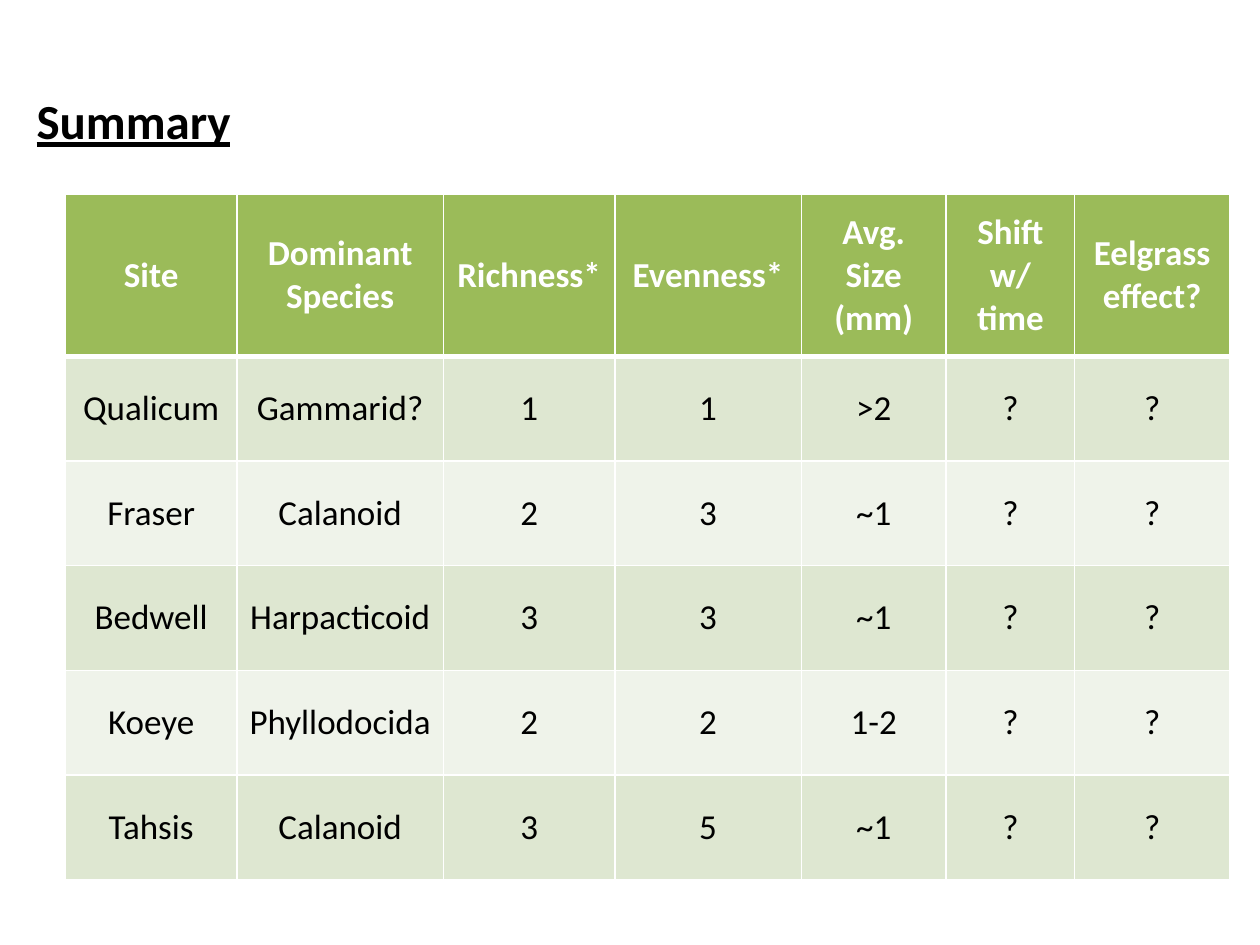
import dataclasses

import lxml.etree
import pptx
import pptx.dml.color
import pptx.enum.text
import pptx.oxml.ns
import pptx.util

Inches = pptx.util.Inches
Pt = pptx.util.Pt
Align = pptx.enum.text.PP_ALIGN
Anchor = pptx.enum.text.MSO_ANCHOR


@dataclasses.dataclass(frozen=True)
class Theme:
    font: str = "Calibri"
    title_size: int = 28
    table_size: int = 20
    text: str = "000000"
    header_text: str = "FFFFFF"
    header_fill: str = "9BBB59"
    bands: tuple = ("DEE7D1", "EFF3EA")
    border: str = "FFFFFF"
    thin: int = 1
    thick: int = 3


THEME = Theme()

HEADINGS = ("Site", "Dominant Species", "Richness*", "Evenness*",
            "Avg. Size (mm)", "Shift w/ time", "Eelgrass effect?")
SITES = (
    ("Qualicum", "Gammarid?", "1", "1", ">2", "?", "?"),
    ("Fraser", "Calanoid", "2", "3", "~1", "?", "?"),
    ("Bedwell", "Harpacticoid", "3", "3", "~1", "?", "?"),
    ("Koeye", "Phyllodocida", "2", "2", "1-2", "?", "?"),
    ("Tahsis", "Calanoid", "3", "5", "~1", "?", "?"),
)
COLUMN_WIDTHS = (1.36, 1.64, 1.36, 1.48, 1.15, 1.02, 1.23)
HEADER_HEIGHT = 1.29
SITE_HEIGHT = 0.83


def rgb(value):
    return pptx.dml.color.RGBColor.from_string(value)


def write_text(frame, text, *, size, color=THEME.text, bold=False,
               underline=False, align=Align.LEFT):
    paragraph = frame.paragraphs[0]
    paragraph.alignment = align
    run = paragraph.add_run()
    run.text = text
    run.font.name = THEME.font
    run.font.size = Pt(size)
    run.font.bold = bold
    run.font.underline = underline
    run.font.color.rgb = rgb(color)


def set_borders(cell, **widths):
    properties = cell._tc.get_or_add_tcPr()
    qn = pptx.oxml.ns.qn
    for side in ("L", "R", "T", "B"):
        width = Pt(widths.get(side, THEME.thin))
        line = lxml.etree.SubElement(properties, qn(f"a:ln{side}"), w=str(width))
        fill = lxml.etree.SubElement(line, qn("a:solidFill"))
        lxml.etree.SubElement(fill, qn("a:srgbClr"), val=THEME.border)


def format_cell(cell, text, *, fill, color, bold, borders):
    set_borders(cell, **borders)
    cell.fill.solid()
    cell.fill.fore_color.rgb = rgb(fill)
    cell.vertical_anchor = Anchor.MIDDLE
    write_text(cell.text_frame, text, size=THEME.table_size, color=color,
               bold=bold, align=Align.CENTER)


def place_title(slide, text):
    title = slide.shapes.title
    title.left, title.top = Inches(0.19), Inches(0.67)
    title.width, title.height = Inches(1.76), Inches(0.57)
    frame = title.text_frame
    frame.word_wrap = False
    frame.auto_size = pptx.enum.text.MSO_AUTO_SIZE.SHAPE_TO_FIT_TEXT
    frame.vertical_anchor = Anchor.TOP
    write_text(frame, text, size=THEME.title_size, bold=True, underline=True)


def add_summary_table(slide):
    rows = (HEADINGS, *SITES)
    heights = (HEADER_HEIGHT, *[SITE_HEIGHT] * len(SITES))
    table = slide.shapes.add_table(
        len(rows), len(HEADINGS), Inches(0.52), Inches(1.54),
        Inches(sum(COLUMN_WIDTHS)), Inches(sum(heights))).table
    for column, width in zip(table.columns, COLUMN_WIDTHS):
        column.width = Inches(width)
    for row, height in zip(table.rows, heights):
        row.height = Inches(height)

    for index, values in enumerate(rows):
        if index == 0:
            style = dict(fill=THEME.header_fill, color=THEME.header_text,
                         bold=True, borders={"B": THEME.thick})
        else:
            style = dict(fill=THEME.bands[(index - 1) % 2], color=THEME.text,
                         bold=False,
                         borders={"T": THEME.thick} if index == 1 else {})
        for column, value in enumerate(values):
            format_cell(table.cell(index, column), value, **style)


def main():
    deck = pptx.Presentation()
    deck.slide_width, deck.slide_height = Inches(10), Inches(7.5)
    slide = deck.slides.add_slide(deck.slide_layouts.get_by_name("Title Only"))
    place_title(slide, "Summary")
    add_summary_table(slide)
    deck.save("out.pptx")


if __name__ == "__main__":
    main()
